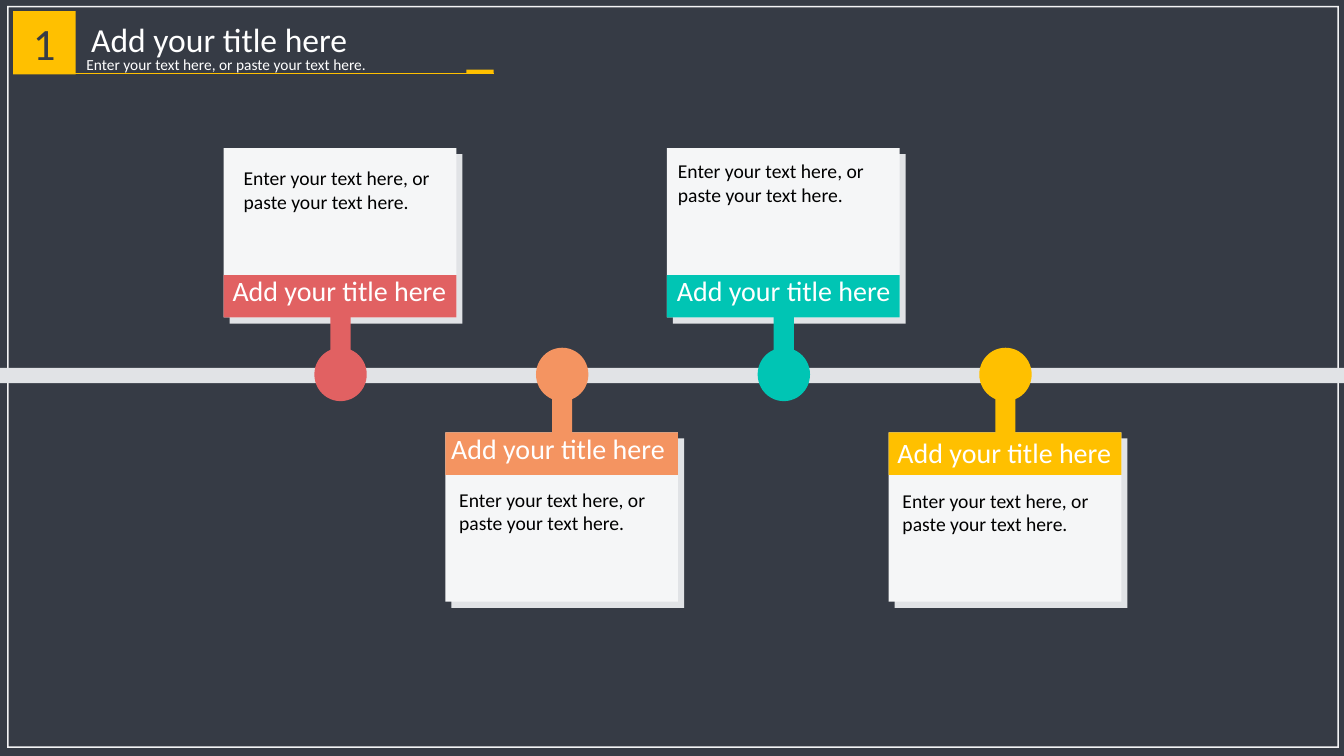
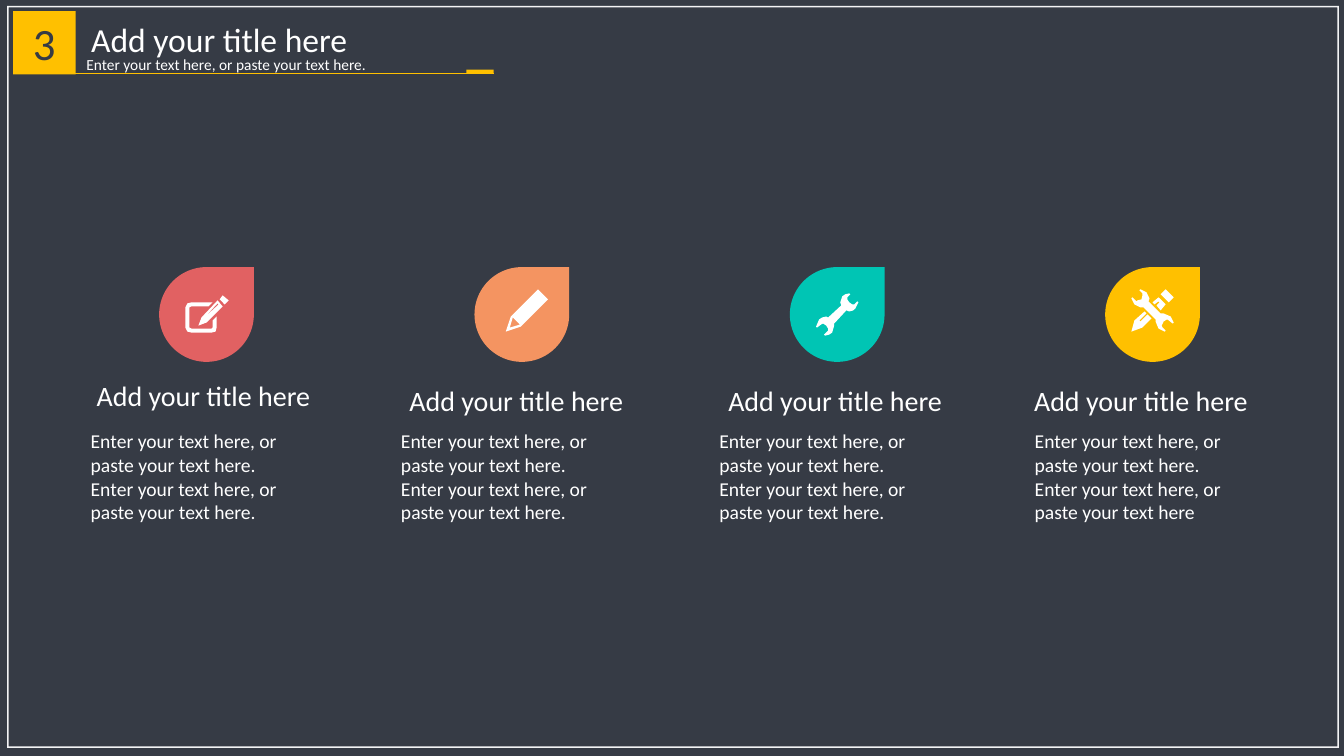
"""Build a two-slide dark deck: a timeline and a row of icon drops."""
from dataclasses import dataclass

import lxml.etree
import pptx
import pptx.dml.color
import pptx.enum.shapes
import pptx.enum.text
import pptx.oxml.ns
import pptx.shapes.autoshape
import pptx.slide
import pptx.util

Inches = pptx.util.Inches
Shape = pptx.enum.shapes.MSO_SHAPE
Align = pptx.enum.text.PP_ALIGN
Anchor = pptx.enum.text.MSO_ANCHOR
Box = tuple[float, float, float, float]
Ring = list[tuple[int, int]]

TITLE = "Add your title here"
NOTE = "Enter your text here, or paste your text here."


@dataclass(frozen=True)
class Theme:
    font: str = "Calibri"
    back: str = "363B45"
    frame: str = "F3F3F5"
    paper: str = "F5F6F7"
    shade: str = "E1E3E6"
    white: str = "FFFFFF"
    black: str = "000000"
    red: str = "E16162"
    orange: str = "F49461"
    teal: str = "00C5B4"
    gold: str = "FFC000"
    number: int = 32
    head: int = 24
    label: int = 20
    body: int = 14
    small: int = 11


THEME = Theme()


@dataclass(frozen=True)
class Style:
    size: int
    color: str = THEME.white
    align: Align = Align.LEFT
    anchor: Anchor = Anchor.TOP
    inset: bool = True
    wrap: bool = True
    space: float = 1.0


@dataclass(frozen=True)
class Card:
    color: str
    above: bool
    label: tuple[float, float]
    note: tuple[float, float]


@dataclass(frozen=True)
class Drop:
    color: str
    label: Box
    left: float
    notes: tuple[str, str]
    icon: list[list[Ring]]


PEN = [
    [[(53, 60), (52, 61), (32, 61), (30, 60), (30, 40), (32, 39), (49, 39),
      (53, 35), (32, 35), (28, 36), (26, 40), (26, 60), (28, 64), (32, 65),
      (52, 65), (56, 64), (57, 60), (57, 49), (53, 53)]],
    [[(63, 39), (58, 33), (42, 50), (39, 58), (47, 55)],
     [(45, 50), (58, 36), (59, 37)]],
    [[(60, 32), (65, 37), (69, 33), (63, 28)]],
]
PENCIL = [
    [[(73, 32), (63, 22), (36, 49), (31, 64), (46, 59)],
     [(35, 60), (38, 50), (45, 57)]],
]
WRENCH = [
    [[(67, 34), (64, 37), (62, 37), (59, 35), (57, 32), (57, 30), (60, 27),
      (59, 26), (55, 27), (52, 29), (50, 35), (51, 38), (38, 50), (36, 49),
      (32, 50), (29, 52), (26, 59), (27, 60), (31, 57), (33, 56), (36, 58),
      (38, 61), (38, 63), (34, 67), (35, 68), (39, 67), (42, 65), (44, 58),
      (44, 56), (56, 43), (59, 44), (63, 43), (65, 41), (68, 35)]],
]
TOOLS = [
    [[(42, 47), (35, 54), (34, 53), (41, 46), (39, 44), (29, 53), (26, 64),
      (37, 60), (46, 51)]],
    [[(49, 37), (53, 34), (54, 35), (51, 38), (55, 43), (60, 37), (53, 30),
      (47, 35)]],
    [[(60, 22), (55, 27), (63, 35), (68, 30)]],
    [[(58, 46), (55, 46), (43, 34), (44, 31), (41, 25), (35, 22), (34, 23),
      (37, 26), (37, 28), (36, 32), (32, 33), (31, 34), (27, 30), (26, 31),
      (29, 37), (35, 40), (38, 40), (50, 52), (50, 54), (53, 61), (59, 64),
      (60, 63), (57, 60), (56, 58), (58, 54), (61, 52), (62, 52), (67, 56),
      (68, 55), (65, 49)]],
]

CARDS = [
    Card(THEME.red, True, (2.21, 2.66), (2.32, 1.6)),
    Card(THEME.orange, False, (4.38, 4.23), (4.46, 4.79)),
    Card(THEME.teal, True, (6.62, 2.66), (6.63, 1.53)),
    Card(THEME.gold, False, (8.81, 4.27), (8.86, 4.8)),
]
DROPS = [
    Drop(THEME.red, (0.85, 3.76, 2.34, 0.33), 0.9, (NOTE, NOTE), PEN),
    Drop(THEME.orange, (3.87, 3.8, 2.51, 0.33), 3.98, (NOTE, NOTE), PENCIL),
    Drop(THEME.teal, (6.98, 3.8, 2.62, 0.33), 7.14, (NOTE, NOTE), WRENCH),
    Drop(THEME.gold, (9.9, 3.8, 2.85, 0.33), 10.27,
         (NOTE, NOTE.rstrip(".")), TOOLS),
]


def rgb(code: str) -> pptx.dml.color.RGBColor:
    return pptx.dml.color.RGBColor.from_string(code)


def paint(shape: pptx.shapes.autoshape.Shape, color: str) -> None:
    shape.shadow.inherit = False
    shape.fill.solid()
    shape.fill.fore_color.rgb = rgb(color)
    shape.line.fill.background()


def block(slide: pptx.slide.Slide, kind: Shape, box: Box,
          color: str) -> pptx.shapes.autoshape.Shape:
    shape = slide.shapes.add_shape(kind, *map(Inches, box))
    paint(shape, color)
    return shape


def write(shape: pptx.shapes.autoshape.Shape, lines: tuple[str, ...],
          style: Style) -> None:
    frame = shape.text_frame
    frame.text = "\n".join(lines)
    frame.word_wrap = style.wrap
    frame.vertical_anchor = style.anchor
    if not style.inset:
        frame.margin_left = frame.margin_right = Inches(0)
        frame.margin_top = frame.margin_bottom = Inches(0)
    for para in frame.paragraphs:
        para.alignment = style.align
        para.line_spacing = style.space
        for run in para.runs:
            run.font.name = THEME.font
            run.font.size = pptx.util.Pt(style.size)
            run.font.color.rgb = rgb(style.color)


def text(slide: pptx.slide.Slide, box: Box, lines: tuple[str, ...],
         style: Style) -> None:
    write(slide.shapes.add_textbox(*map(Inches, box)), lines, style)


def glyph(slide: pptx.slide.Slide, left: float, top: float,
          rings: list[Ring]) -> None:
    first, *holes = rings
    pen = slide.shapes.build_freeform(*first[0], scale=Inches(0.01))
    pen.add_line_segments(first[1:])
    for hole in holes:
        pen.move_to(*hole[0])
        pen.add_line_segments(hole[1:])
    paint(pen.convert_to_shape(Inches(left), Inches(top)), THEME.white)


def start(deck: pptx.presentation.Presentation,
          number: str) -> pptx.slide.Slide:
    slide = deck.slides.add_slide(deck.slide_layouts[6])
    slide.background.fill.solid()
    slide.background.fill.fore_color.rgb = rgb(THEME.back)
    frame = block(slide, Shape.FRAME, (0.07, 0.06, 13.22, 7.36), THEME.frame)
    frame.adjustments[0] = 0.002
    badge = block(slide, Shape.RECTANGLE, (0.13, 0.11, 0.62, 0.63), THEME.gold)
    write(badge, (number,),
          Style(THEME.number, THEME.back, Align.CENTER, Anchor.MIDDLE))
    text(slide, (0.68, 0.09, 2.99, 0.55), (TITLE,),
         Style(THEME.head, align=Align.CENTER, anchor=Anchor.MIDDLE, space=1.1))
    text(slide, (0.76, 0.5, 3.86, 0.59), (NOTE,), Style(THEME.small))
    rule = slide.shapes.add_connector(
        pptx.enum.shapes.MSO_CONNECTOR.STRAIGHT,
        *map(Inches, (4.9, 0.73, 0.68, 0.73)))
    rule.line.color.rgb = rgb(THEME.gold)
    rule.line.width = pptx.util.Pt(0.5)
    lxml.etree.SubElement(rule._element.spPr, pptx.oxml.ns.qn("a:effectLst"))
    block(slide, Shape.RECTANGLE, (4.63, 0.69, 0.27, 0.04), THEME.gold)
    return slide


def draw_card(slide: pptx.slide.Slide, left: float, card: Card) -> None:
    wide, high = 2.31, 1.68
    top, band, stem = (1.47, 2.73, 3.03) if card.above else (4.29, 4.29, 3.83)
    block(slide, Shape.OVAL, (left + 0.9, 3.45, 0.52, 0.53), card.color)
    for box, color in (
        ((left + 0.06, top + 0.06, wide, high), THEME.shade),
        ((left, top, wide, high), THEME.paper),
        ((left, band, wide, 0.42), card.color),
        ((left + 1.06, stem, 0.2, 0.58), card.color),
    ):
        block(slide, Shape.RECTANGLE, box, color)
    text(slide, (*card.label, 2.33, 0.43), (TITLE,),
         Style(THEME.label, wrap=False))
    text(slide, (*card.note, 2.3, 0.57), (NOTE,),
         Style(THEME.body, THEME.black))


def draw_drop(slide: pptx.slide.Slide, left: float, drop: Drop) -> None:
    top = 2.65
    block(slide, Shape.TEAR, (left, top, 0.94, 0.94), drop.color)
    for rings in drop.icon:
        glyph(slide, left, top, rings)
    text(slide, drop.label, (TITLE,),
         Style(THEME.label, align=Align.CENTER, inset=False))
    text(slide, (drop.left, 4.26, 2.29, 0.93), drop.notes,
         Style(THEME.body, inset=False))


def main() -> None:
    deck = pptx.Presentation()
    deck.slide_width, deck.slide_height = Inches(13.34), Inches(7.5)
    slide = start(deck, "1")
    block(slide, Shape.RECTANGLE, (0, 3.65, 13.34, 0.15), THEME.shade)
    for spot, card in enumerate(CARDS):
        draw_card(slide, 2.22 + 2.2 * spot, card)
    slide = start(deck, "3")
    for spot, drop in enumerate(DROPS):
        draw_drop(slide, 1.58 + 3.13 * spot, drop)
    deck.save("out.pptx")


if __name__ == "__main__":
    main()
